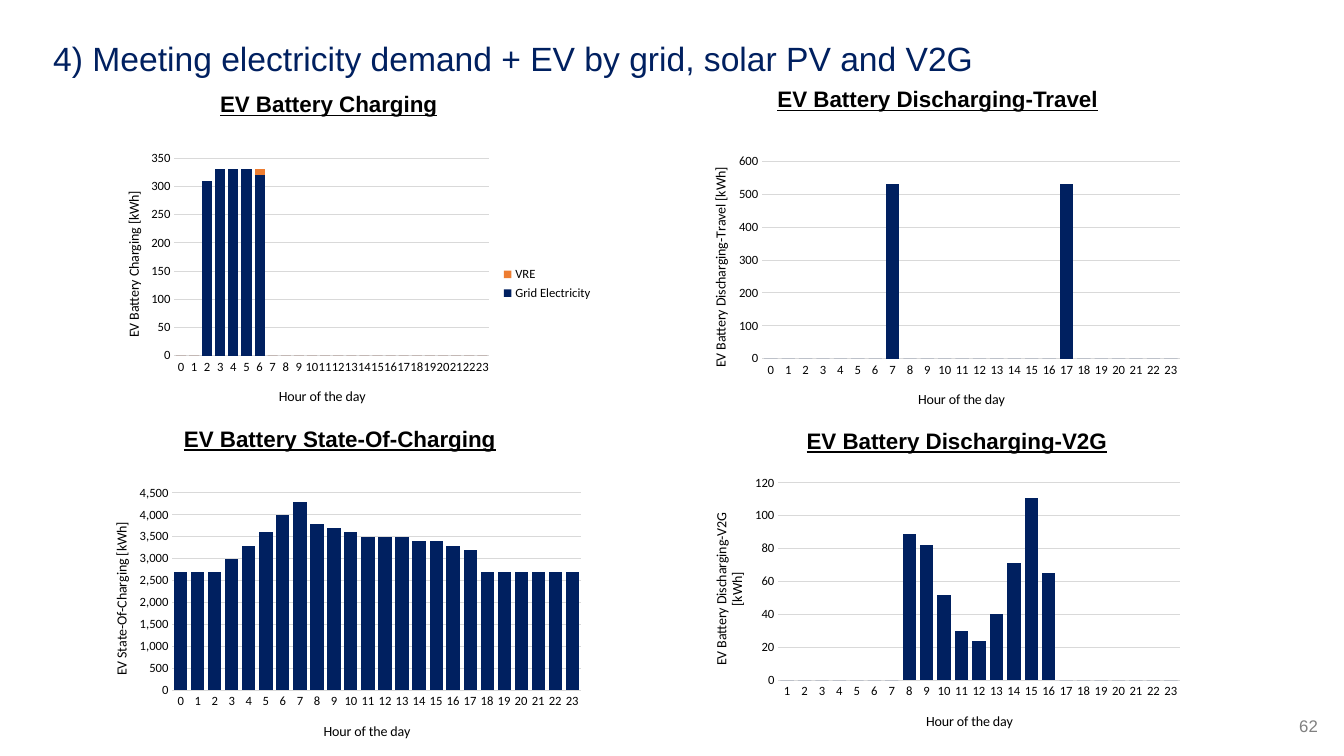
import pptx
import pptx.util
import pptx.dml.color
import pptx.chart.data
import pptx.enum.chart
import pptx.enum.text
import lxml.etree

Inches = pptx.util.Inches
Pt = pptx.util.Pt
PLOT_HEIGHT = 1.96
CHART_WIDTH, CHART_HEIGHT = 5, 2.73


def rgb(value):
    return pptx.dml.color.RGBColor.from_string(value)


def set_layout(parent, index, inner=False, **fractions):
    ns = "http://schemas.openxmlformats.org/drawingml/2006/chart"
    for old in parent.findall(f"{{{ns}}}layout"):
        parent.remove(old)
    layout = lxml.etree.Element(f"{{{ns}}}layout")
    manual = lxml.etree.SubElement(layout, f"{{{ns}}}manualLayout")
    values = {"layoutTarget": "inner"} if inner else {}
    values.update(xMode="edge", yMode="edge", **fractions)
    for tag, value in values.items():
        lxml.etree.SubElement(manual, f"{{{ns}}}{tag}").set("val", str(value))
    parent.insert(index, layout)


class Deck:
    """Holds the slide style and draws headings and charts on the current slide."""

    navy, orange, black, grey, rule = "002060", "ED7D31", "000000", "808080", "D9D9D9"
    chart_font = "Calibri"

    def __init__(self):
        self.prs = pptx.Presentation()
        self.prs.slide_width, self.prs.slide_height = Inches(13.33), Inches(7.5)
        self.s = self.prs.slides.add_slide(self.prs.slide_layouts[6])

    def style(self, font, size, color, name):
        font.size, font.name, font.bold = Pt(size), name, False
        font.color.rgb = rgb(color)

    def text(self, box, text, size, color, align="LEFT"):
        tf = self.s.shapes.add_textbox(*map(Inches, box)).text_frame
        tf.word_wrap = True
        tf.vertical_anchor = pptx.enum.text.MSO_ANCHOR.MIDDLE
        p = tf.paragraphs[0]
        p.text = text
        p.alignment = getattr(pptx.enum.text.PP_ALIGN, align)
        self.style(p.font, size, color, "Arial")
        return tf

    def heading(self, left, top, text):
        tf = self.text((left, top, 3.82, 0.34), text, 16, self.black, "CENTER")
        tf.margin_left = tf.margin_right = tf.margin_top = tf.margin_bottom = 0
        tf.paragraphs[0].font.bold = tf.paragraphs[0].font.underline = True

    def axis_title(self, axis, lines):
        tf = axis.axis_title.text_frame
        for i, line in enumerate(lines):
            p = tf.paragraphs[0] if i == 0 else tf.add_paragraph()
            p.text = line
            self.style(p.font, 10, self.black, self.chart_font)
        return tf

    def axis(self, axis):
        axis.major_tick_mark = axis.minor_tick_mark = pptx.enum.chart.XL_TICK_MARK.NONE
        self.style(axis.tick_labels.font, 9, self.black, self.chart_font)

    def chart(self, left, top, plot, value_title, title_length, step, top_value, cats, series):
        data = pptx.chart.data.CategoryChartData(number_format="#,##0")
        data.categories = [str(hour) for hour in cats]
        for name, values in series.items():
            data.add_series(name, values)
        box = map(Inches, (left, top, CHART_WIDTH, CHART_HEIGHT))
        kind = pptx.enum.chart.XL_CHART_TYPE.COLUMN_STACKED
        chart = self.s.shapes.add_chart(kind, *box, data).chart
        chart.has_title = False
        self.style(chart.font, 10, self.black, self.chart_font)

        columns = chart.plots[0]
        columns.gap_width, columns.overlap, columns.vary_by_categories = 30, 100, False
        for bars, color in zip(columns.series, (self.navy, self.orange)):
            bars.format.fill.solid()
            bars.format.fill.fore_color.rgb = rgb(color)

        hours, values = chart.category_axis, chart.value_axis
        self.axis(hours)
        hours.format.line.color.rgb = rgb(self.rule)
        hours.format.line.width = Pt(0.75)
        self.axis_title(hours, ["Hour of the day"])
        self.axis(values)
        values.format.line.fill.background()
        values.major_gridlines.format.line.color.rgb = rgb(self.rule)
        values.major_gridlines.format.line.width = Pt(0.75)
        values.minimum_scale, values.maximum_scale, values.major_unit = 0, top_value, step
        values.tick_labels.number_format = "#,##0"
        values.tick_labels.number_format_is_linked = False
        body = self.axis_title(values, value_title)._txBody.bodyPr
        body.set("rot", "-5400000")
        body.set("vert", "horz")

        chart.has_legend = len(series) > 1
        if chart.has_legend:
            chart.legend.position = pptx.enum.chart.XL_LEGEND_POSITION.RIGHT
            chart.legend.include_in_layout = False
            self.style(chart.legend.font, 9, self.black, self.chart_font)

        plot_left, plot_top, plot_width = plot
        x = (plot_left - left) / CHART_WIDTH
        y = (plot_top - top) / CHART_HEIGHT
        w, h = plot_width / CHART_WIDTH, PLOT_HEIGHT / CHART_HEIGHT
        area = chart._chartSpace.xpath("c:chart/c:plotArea")[0]
        set_layout(area, 0, inner=True, x=x, y=y, w=w, h=h)
        set_layout(area.xpath("c:catAx/c:title")[0], 1,
                   x=x + w / 2 - 0.55 / CHART_WIDTH, y=y + h + 0.29 / CHART_HEIGHT)
        set_layout(area.xpath("c:valAx/c:title")[0], 1, x=0.23 / CHART_WIDTH,
                   y=y + h / 2 + (0.05 - title_length / 2) / CHART_HEIGHT)


def main():
    deck = Deck()
    deck.text((0.43, 0.19, 11.5, 0.78),
              "4) Meeting electricity demand + EV by grid, solar PV and V2G", 24, deck.navy)
    deck.text((12.61, 7, 0.56, 0.4), "62", 12, deck.grey, "RIGHT")
    deck.heading(1.35, 0.86, "EV Battery Charging")
    deck.heading(7.39, 0.81, "EV Battery Discharging-Travel")
    deck.heading(1.46, 4.18, "EV Battery State-Of-Charging")
    deck.heading(7.58, 4.2, "EV Battery Discharging-V2G")

    day = range(24)
    state = [2700] * 3 + [3000, 3300, 3600, 4000, 4300, 3800, 3700, 3600, 3500, 3500,
                          3500, 3400, 3400, 3300, 3200] + [2700] * 6
    grid = [0, 0, 310, 330, 330, 330, 320] + [0] * 17
    vre = [10 if hour == 6 else 0 for hour in day]
    travel = [530 if hour in (7, 17) else 0 for hour in day]
    v2g = [0] * 7 + [89, 82, 52, 30, 24, 40, 71, 111, 65] + [0] * 7

    deck.chart(0.86, 4.77, (1.71, 4.89, 4.05), ["EV State-Of-Charging [kWh]"], 1.53,
               500, 4500, day, {"Series 1": state})
    deck.chart(0.98, 1.45, (1.73, 1.57, 3.12), ["EV Battery Charging [kWh]"], 1.46,
               50, 350, day, {"Grid Electricity": grid, "VRE": vre})
    deck.chart(6.8, 1.47, (7.56, 1.6, 4.14), ["EV Battery Discharging-Travel [kWh]"], 1.99,
               100, 600, day, {"Series 1": travel})
    deck.chart(6.8, 4.67, (7.72, 4.79, 3.98), ["EV Battery Discharging-V2G", "[kWh]"], 1.52,
               20, 120, range(1, 24), {"Series 1": v2g})
    deck.prs.save("out.pptx")


if __name__ == "__main__":
    main()
